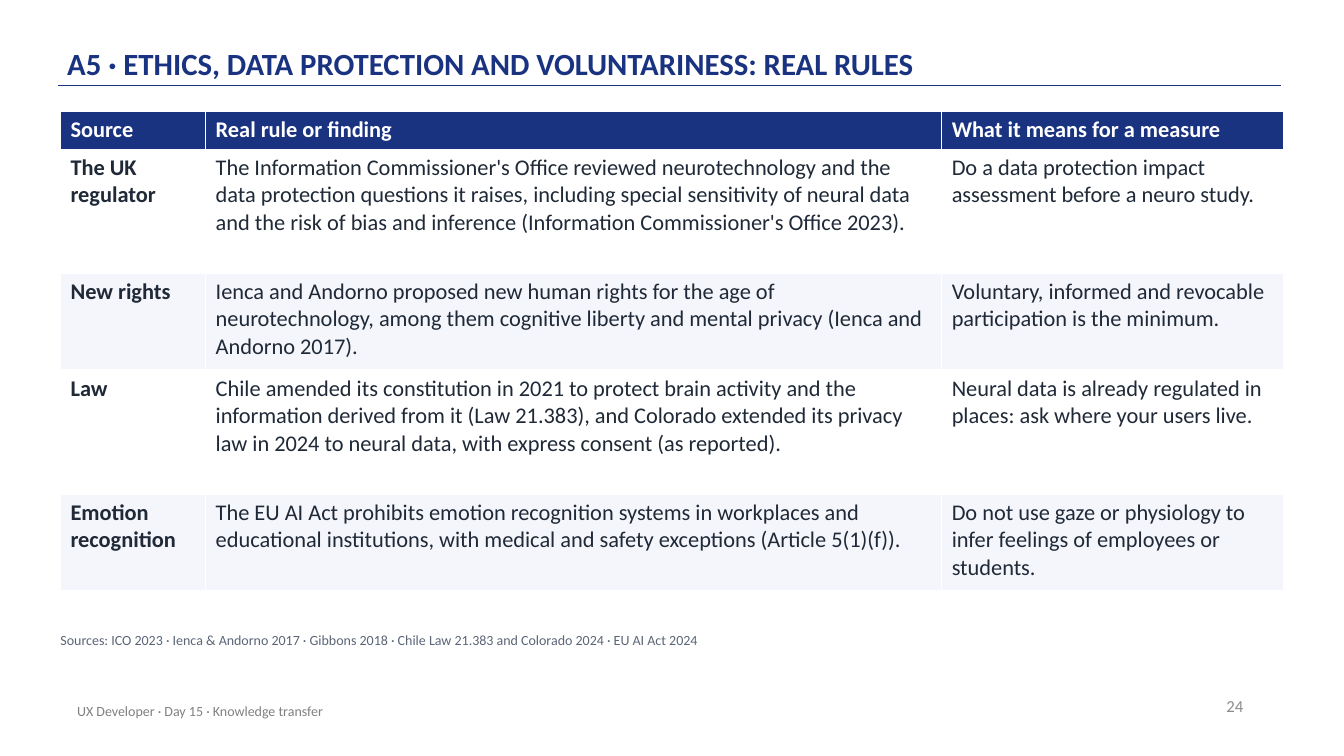
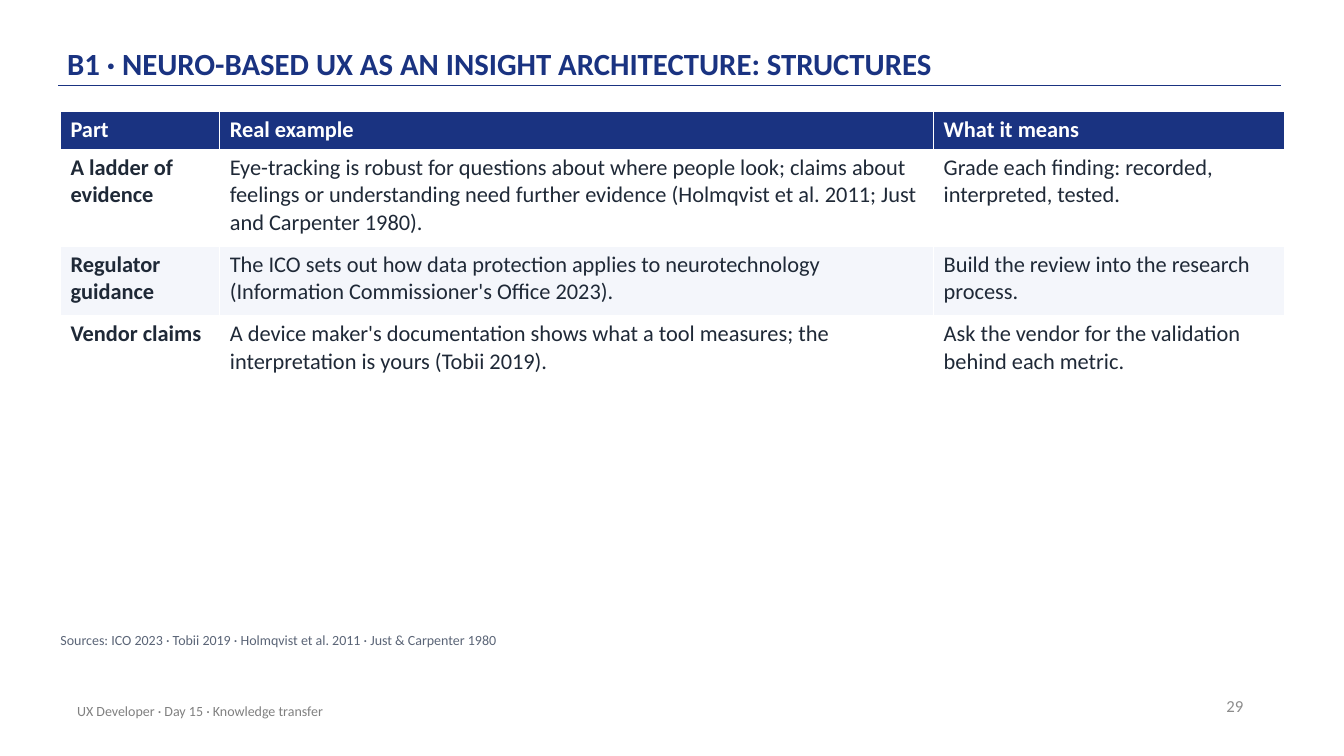
from dataclasses import dataclass

from lxml import etree
from pptx import Presentation
from pptx.dml.color import RGBColor
from pptx.enum.shapes import MSO_CONNECTOR
from pptx.enum.text import MSO_ANCHOR, MSO_AUTO_SIZE, PP_ALIGN
from pptx.oxml.ns import qn
from pptx.util import Inches, Pt

STRAIGHT = MSO_CONNECTOR.STRAIGHT
TOP, MIDDLE, BOTTOM = MSO_ANCHOR.TOP, MSO_ANCHOR.MIDDLE, MSO_ANCHOR.BOTTOM
LEFT, RIGHT = PP_ALIGN.LEFT, PP_ALIGN.RIGHT
GROW, FIXED = MSO_AUTO_SIZE.SHAPE_TO_FIT_TEXT, MSO_AUTO_SIZE.NONE

NAVY = RGBColor(0x1A, 0x33, 0x81)
INK = RGBColor(0x1F, 0x29, 0x37)
SLATE = RGBColor(0x5B, 0x65, 0x77)
GREY = RGBColor(0x80, 0x80, 0x80)
PAGE_GREY = RGBColor(0x8C, 0x8C, 0x8C)
WHITE = RGBColor(0xFF, 0xFF, 0xFF)
PALE = RGBColor(0xF4, 0xF6, 0xFB)

FONT = "Calibri"
SLIDE_W, SLIDE_H = Inches(13.33), Inches(7.5)
HEADER_H, LINE_H, CELL_PADDING = 0.38, 0.27, 0.15
FOOTER = "UX Developer · Day 15 · Knowledge transfer"


@dataclass(frozen=True)
class TextStyle:
    left: float
    top: float
    width: float
    height: float
    size: int
    color: RGBColor
    bold: bool = False
    anchor: MSO_ANCHOR = MIDDLE
    align: PP_ALIGN = LEFT
    inset_x: float = 0.1
    inset_y: float = 0.05
    line_spacing: float = 1.0
    space_after: int = 0
    auto_size: MSO_AUTO_SIZE = FIXED


@dataclass(frozen=True)
class Row:
    lines: int
    cells: tuple[str, str, str]


@dataclass(frozen=True)
class TableSlide:
    title: str
    page: int
    columns: tuple[float, float, float]
    header: tuple[str, str, str]
    rows: tuple[Row, ...]
    sources: str


TITLE_STYLE = TextStyle(5, 1.6, 82.5, 9.6, 22, NAVY, bold=True, anchor=BOTTOM,
                        inset_x=0, inset_y=0.03, line_spacing=0.9)
PAGE_STYLE = TextStyle(70.75, 90.67, 22.5, 5.33, 12, PAGE_GREY, align=RIGHT)
FOOTER_STYLE = TextStyle(5, 91.33, 50.25, 5.33, 10, GREY)
SOURCES_STYLE = TextStyle(4.5, 83.6, 90.75, 4, 10, SLATE, anchor=TOP,
                          inset_x=0, inset_y=0, space_after=6, auto_size=GROW)

SLIDES = (
    TableSlide(
        "A5 · ETHICS, DATA PROTECTION AND VOLUNTARINESS: REAL RULES",
        24,
        (1.44, 7.3, 3.39),
        ("Source", "Real rule or finding", "What it means for a measure"),
        (
            Row(4, ("The UK regulator",
                    "The Information Commissioner's Office reviewed neurotechnology and the "
                    "data protection questions it raises, including special sensitivity of "
                    "neural data and the risk of bias and inference (Information "
                    "Commissioner's Office 2023).",
                    "Do a data protection impact assessment before a neuro study.")),
            Row(3, ("New rights",
                    "Ienca and Andorno proposed new human rights for the age of "
                    "neurotechnology, among them cognitive liberty and mental privacy "
                    "(Ienca and Andorno 2017).",
                    "Voluntary, informed and revocable participation is the minimum.")),
            Row(4, ("Law",
                    "Chile amended its constitution in 2021 to protect brain activity and "
                    "the information derived from it (Law 21.383), and Colorado extended "
                    "its privacy law in 2024 to neural data, with express consent (as "
                    "reported).",
                    "Neural data is already regulated in places: ask where your users live.")),
            Row(3, ("Emotion recognition",
                    "The EU AI Act prohibits emotion recognition systems in workplaces and "
                    "educational institutions, with medical and safety exceptions "
                    "(Article 5(1)(f)).",
                    "Do not use gaze or physiology to infer feelings of employees or "
                    "students.")),
        ),
        "Sources: ICO 2023 · Ienca & Andorno 2017 · Gibbons 2018 · "
        "Chile Law 21.383 and Colorado 2024 · EU AI Act 2024",
    ),
    TableSlide(
        "B1 · NEURO-BASED UX AS AN INSIGHT ARCHITECTURE: STRUCTURES",
        29,
        (1.58, 7.08, 3.48),
        ("Part", "Real example", "What it means"),
        (
            Row(3, ("A ladder of evidence",
                    "Eye-tracking is robust for questions about where people look; claims "
                    "about feelings or understanding need further evidence (Holmqvist et "
                    "al. 2011; Just and Carpenter 1980).",
                    "Grade each finding: recorded, interpreted, tested.")),
            Row(2, ("Regulator guidance",
                    "The ICO sets out how data protection applies to neurotechnology "
                    "(Information Commissioner's Office 2023).",
                    "Build the review into the research process.")),
            Row(2, ("Vendor claims",
                    "A device maker's documentation shows what a tool measures; the "
                    "interpretation is yours (Tobii 2019).",
                    "Ask the vendor for the validation behind each metric.")),
        ),
        "Sources: ICO 2023 · Tobii 2019 · Holmqvist et al. 2011 · Just & Carpenter 1980",
    ),
)


def across(percent: float) -> int:
    return round(SLIDE_W * percent / 100)


def down(percent: float) -> int:
    return round(SLIDE_H * percent / 100)


def set_all(target, formats: dict) -> None:
    for name, value in formats.items():
        setattr(target, name, value)


def add_run(p, text: str, size: int, color: RGBColor, bold: bool) -> None:
    r = p.add_run()
    r.text = text
    set_all(r.font, {"name": FONT, "size": Pt(size), "bold": bold})
    r.font.color.rgb = color


def add_text(s, text: str, style: TextStyle) -> None:
    sp = s.shapes.add_textbox(across(style.left), down(style.top),
                              across(style.width), down(style.height))
    tf = sp.text_frame
    set_all(tf, {
        "word_wrap": True,
        "auto_size": style.auto_size,
        "vertical_anchor": style.anchor,
        "margin_left": Inches(style.inset_x),
        "margin_right": Inches(style.inset_x),
        "margin_top": Inches(style.inset_y),
        "margin_bottom": Inches(style.inset_y),
    })
    p = tf.paragraphs[0]
    set_all(p, {"alignment": style.align, "line_spacing": style.line_spacing,
                "space_after": Pt(style.space_after)})
    add_run(p, text, style.size, style.color, style.bold)


def add_title_rule(s) -> None:
    rule = s.shapes.add_connector(STRAIGHT, across(4.35), down(11.33),
                                  across(95.35), down(11.33))
    rule.line.color.rgb = NAVY
    rule.line.width = Pt(1)
    etree.SubElement(rule._element.spPr, qn("a:effectLst"))


def fill_cell(cell, text: str, fill: RGBColor, color: RGBColor, bold: bool) -> None:
    cell.fill.solid()
    cell.fill.fore_color.rgb = fill
    add_run(cell.text_frame.paragraphs[0], text, 16, color, bold)


def add_rules_table(s, data: TableSlide) -> None:
    heights = [HEADER_H] + [row.lines * LINE_H + CELL_PADDING for row in data.rows]
    table = s.shapes.add_table(len(heights), len(data.columns), across(4.5), down(14.67),
                               Inches(sum(data.columns)), Inches(sum(heights))).table
    set_all(table, {"first_row": True, "horz_banding": False})
    for column, width in zip(table.columns, data.columns):
        column.width = Inches(width)
    for row, height in zip(table.rows, heights):
        row.height = Inches(height)
    for c, text in enumerate(data.header):
        fill_cell(table.cell(0, c), text, NAVY, WHITE, True)
    for r, row in enumerate(data.rows, start=1):
        for c, text in enumerate(row.cells):
            fill_cell(table.cell(r, c), text, WHITE if r % 2 else PALE, INK, c == 0)


def add_slide(prs, data: TableSlide) -> None:
    s = prs.slides.add_slide(prs.slide_layouts[6])
    s.background.fill.solid()
    s.background.fill.fore_color.rgb = WHITE
    add_title_rule(s)
    add_text(s, data.title, TITLE_STYLE)
    add_text(s, str(data.page), PAGE_STYLE)
    add_text(s, FOOTER, FOOTER_STYLE)
    add_rules_table(s, data)
    add_text(s, data.sources, SOURCES_STYLE)


def main() -> None:
    prs = Presentation()
    set_all(prs, {"slide_width": SLIDE_W, "slide_height": SLIDE_H})
    for data in SLIDES:
        add_slide(prs, data)
    prs.save("out.pptx")


if __name__ == "__main__":
    main()
